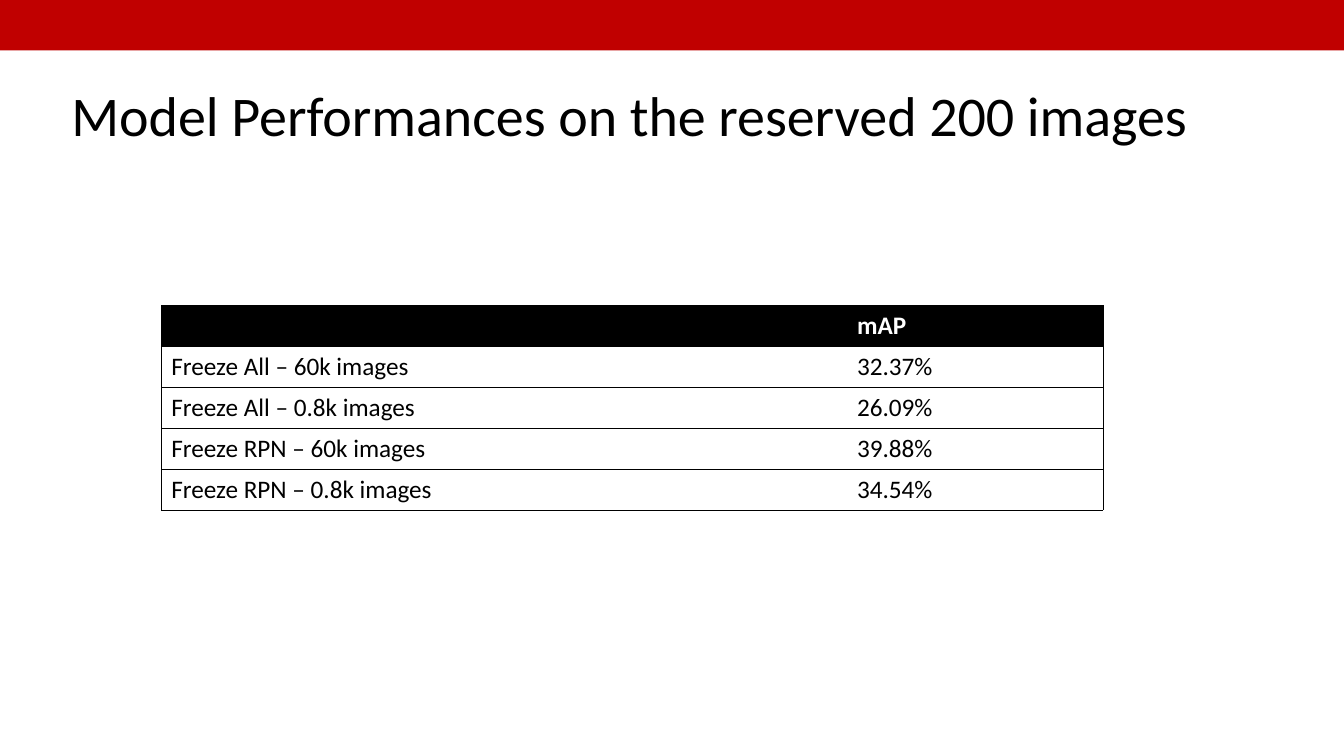
from lxml.etree import SubElement
from pptx import Presentation
from pptx.dml.color import RGBColor
from pptx.enum.shapes import MSO_SHAPE
from pptx.enum.text import MSO_ANCHOR
from pptx.oxml.ns import qn
from pptx.util import Inches, Pt

COLORS = {"banner": "C00000", "ink": "000000", "paper": "FFFFFF"}
HEADING = "Model Performances on the reserved 200 images"
RESULTS = [
    ("", "mAP"),
    ("Freeze All – 60k images", "32.37%"),
    ("Freeze All – 0.8k images", "26.09%"),
    ("Freeze RPN – 60k images", "39.88%"),
    ("Freeze RPN – 0.8k images", "34.54%"),
]


class SlideBuilder:
    font_name = "Calibri"
    border_width = Pt(0.5)

    def __init__(self, slide):
        self.slide = slide

    def color(self, name):
        return RGBColor.from_string(COLORS[name])

    def style_text(self, paragraph, text, color, **formats):
        paragraph.text = text
        font = paragraph.font
        for attribute, value in {"name": self.font_name, **formats}.items():
            setattr(font, attribute, value)
        font.color.rgb = self.color(color)

    def banner(self, left, top, width, height):
        band = self.slide.shapes.add_shape(
            MSO_SHAPE.RECTANGLE, *map(Inches, (left, top, width, height)))
        band.shadow.inherit = False
        band.fill.solid()
        band.fill.fore_color.rgb = self.color("banner")
        band.line.fill.background()

    def title(self, text, left, top, width, height):
        frame = self.slide.shapes.add_textbox(
            *map(Inches, (left, top, width, height))).text_frame
        frame.word_wrap = True
        frame.vertical_anchor = MSO_ANCHOR.MIDDLE
        frame.paragraphs[0].line_spacing = 0.9
        self.style_text(frame.paragraphs[0], text, "ink", size=Pt(40))

    def border(self, cell, side, visible):
        line = SubElement(cell._tc.get_or_add_tcPr(), qn(f"a:ln{side}"),
                          w=str(self.border_width))
        if visible:
            fill = SubElement(line, qn("a:solidFill"))
            SubElement(fill, qn("a:srgbClr"), val=COLORS["ink"])
        else:
            SubElement(line, qn("a:noFill"))

    def table(self, rows, left, top, height, widths):
        grid = self.slide.shapes.add_table(
            len(rows), len(widths), Inches(left), Inches(top),
            Inches(sum(widths)), Inches(height)).table
        grid.horz_banding = False
        for column, width in zip(grid.columns, widths):
            column.width = Inches(width)
        for r, row in enumerate(rows):
            header = r == 0
            for c, text in enumerate(row):
                cell = grid.cell(r, c)
                sides = {"L": c == 0, "R": c == len(widths) - 1,
                         "T": True, "B": True}
                for side, visible in sides.items():
                    self.border(cell, side, visible)
                cell.fill.solid()
                cell.fill.fore_color.rgb = self.color("ink" if header else "paper")
                self.style_text(cell.text_frame.paragraphs[0], text,
                                "paper" if header else "ink",
                                size=Pt(18), bold=header)


def main():
    deck = Presentation()
    deck.slide_width, deck.slide_height = Inches(13.33), Inches(7.5)
    builder = SlideBuilder(deck.slides.add_slide(deck.slide_layouts[6]))
    builder.title(HEADING, 0.61, 0.45, 11.5, 1.45)
    builder.banner(0, 0, 13.33, 0.5)
    builder.table(RESULTS, 1.6, 3.03, 2.03, (6.8, 2.54))
    deck.save("out.pptx")


if __name__ == "__main__":
    main()
